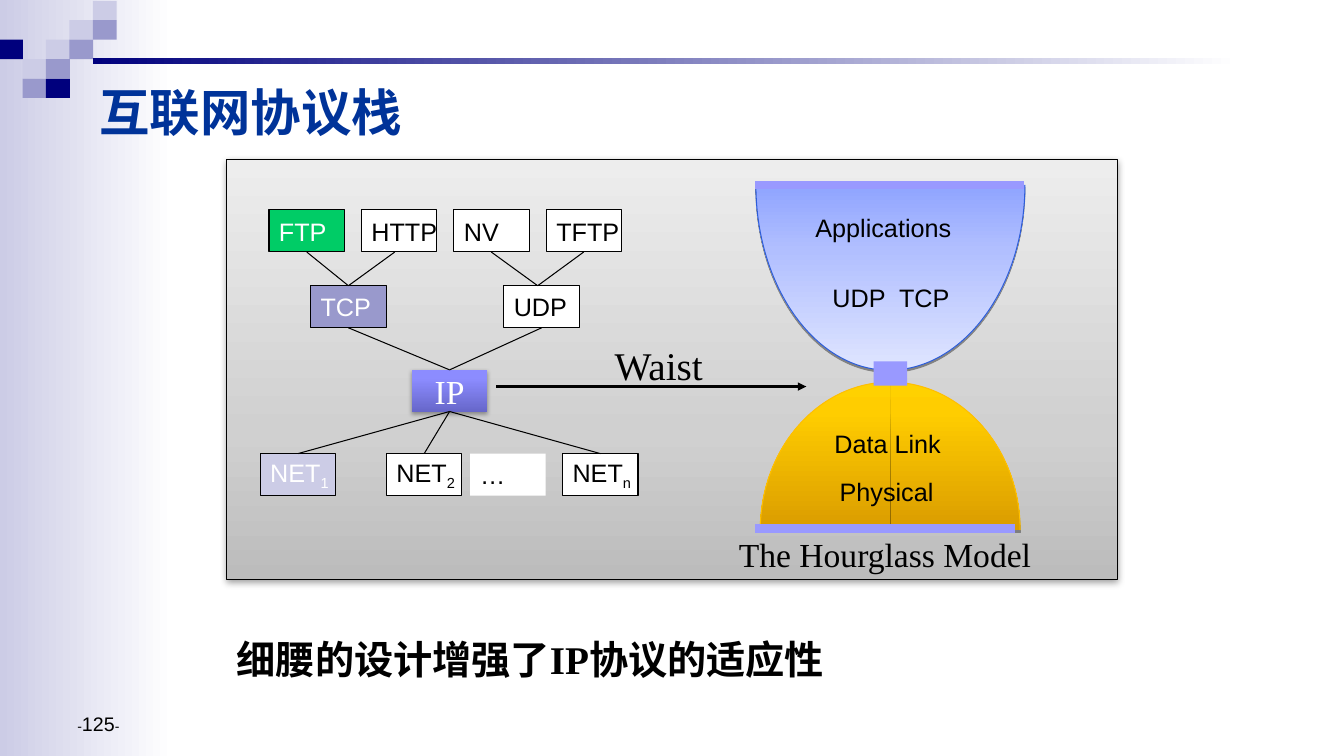
from copy import deepcopy

from lxml import etree
from pptx import Presentation
from pptx.dml.color import RGBColor
from pptx.enum.shapes import MSO_CONNECTOR, MSO_SHAPE
from pptx.enum.text import MSO_ANCHOR, MSO_AUTO_SIZE, PP_ALIGN
from pptx.oxml.ns import qn
from pptx.util import Cm, Pt

RECTANGLE = MSO_SHAPE.RECTANGLE
STRAIGHT = MSO_CONNECTOR.STRAIGHT
LEFT, CENTER = PP_ALIGN.LEFT, PP_ALIGN.CENTER
TOP, MIDDLE, BOTTOM = MSO_ANCHOR.TOP, MSO_ANCHOR.MIDDLE, MSO_ANCHOR.BOTTOM
FIXED, GROW = MSO_AUTO_SIZE.NONE, MSO_AUTO_SIZE.SHAPE_TO_FIT_TEXT

SANS, SERIF = "Arial", "Times New Roman"
BLACK = RGBColor(0x00, 0x00, 0x00)
WHITE = RGBColor(0xFF, 0xFF, 0xFF)
TITLE_BLUE = RGBColor(0x00, 0x33, 0x99)
NAVY = RGBColor(0x00, 0x00, 0x7D)
LAVENDER = RGBColor(0x99, 0x99, 0xCC)
PALE = RGBColor(0xCC, 0xCC, 0xE6)
VIOLET = RGBColor(0x99, 0x99, 0xFF)
GREEN = RGBColor(0x00, 0xCC, 0x66)
GOLD_EDGE = RGBColor(0xFF, 0xBF, 0x00)
BLUE_EDGE = RGBColor(0x2D, 0x5D, 0xD9)

# Gradient stops: (percent, colour)
SIDE_FADE = [(0, PALE), (100, WHITE)]
RULE_FADE = [(0, NAVY), (100, WHITE)]
PANEL_GREY = [(0, RGBColor(0xBC, 0xBC, 0xBC)), (35, RGBColor(0xD0, 0xD0, 0xD0)),
              (100, RGBColor(0xED, 0xED, 0xED))]
IP_VIOLET = [(0, RGBColor(0x67, 0x67, 0xCA)), (80, RGBColor(0x8C, 0x8C, 0xFF)),
             (100, RGBColor(0x8E, 0x8E, 0xFF))]
GOLD = [(0, RGBColor(0xFF, 0xD1, 0x00)), (20, RGBColor(0xFF, 0xCD, 0x00)),
        (100, RGBColor(0xDA, 0x9C, 0x00))]
SKY = [(0, RGBColor(0xDF, 0xE5, 0xFF)), (65, RGBColor(0xB1, 0xBF, 0xFF)),
       (100, RGBColor(0x8F, 0xA4, 0xFF))]

BOX_W, BOX_H = 1.9, 1.06
UPWARD, DOWNWARD = 90, 270
ARC_PULL = 0.55


def paint_gradient(fill, stops, angle):
    fill.gradient()
    fill.gradient_angle = angle
    stop_list = fill._fill._gradFill.find(qn("a:gsLst"))
    for old in list(stop_list):
        stop_list.remove(old)
    for percent, color in stops:
        stop = etree.SubElement(stop_list, qn("a:gs"), pos=str(percent * 1000))
        etree.SubElement(stop, qn("a:srgbClr"), val=str(color))


def style(shape, fill, edge=None, angle=0, shadow=None):
    """Fill is a colour or a list of stops; shadow is (alpha %, blur pt, distance pt)."""
    if isinstance(fill, list):
        paint_gradient(shape.fill, fill, angle)
    else:
        shape.fill.solid()
        shape.fill.fore_color.rgb = fill
    if edge is None:
        shape.line.fill.background()
    else:
        shape.line.color.rgb = edge
        shape.line.width = Pt(0.75)
    shape.shadow.inherit = False
    if shadow:
        alpha, blur, distance = shadow
        effects = shape._element.spPr.find(qn("a:effectLst"))
        outer = etree.SubElement(effects, qn("a:outerShdw"), blurRad=str(Pt(blur)),
                                 dist=str(Pt(distance)), dir="5400000", rotWithShape="0")
        color = etree.SubElement(outer, qn("a:srgbClr"), val=str(BLACK))
        etree.SubElement(color, qn("a:alpha"), val=str(alpha * 1000))


def add_block(slide, x, y, w, h, fill, **look):
    block = slide.shapes.add_shape(RECTANGLE, Cm(x), Cm(y), Cm(w), Cm(h))
    style(block, fill, **look)
    return block


def write(frame, text, size, font=SANS, color=BLACK, bold=False, align=LEFT,
          anchor=TOP, wrap=False, fit=FIXED, subscript=""):
    frame.auto_size = fit
    frame.word_wrap = wrap
    frame.vertical_anchor = anchor
    paragraph = frame.paragraphs[0]
    paragraph.alignment = align
    paragraph.add_run().text = text
    if subscript:
        lowered = paragraph.add_run()
        lowered.text = subscript
        lowered._r.get_or_add_rPr().set("baseline", "-25000")
    paragraph.font.name = font
    paragraph.font.size = Pt(size)
    paragraph.font.bold = bold
    paragraph.font.color.rgb = color


def add_label(slide, x, y, w, h, text, size, fit=GROW, **look):
    label = slide.shapes.add_textbox(Cm(x), Cm(y), Cm(w), Cm(h))
    write(label.text_frame, text, size, fit=fit, **look)


def add_protocol(slide, x, y, text, fill=WHITE, color=BLACK, edge=BLACK, subscript=""):
    box = add_block(slide, x, y, BOX_W, BOX_H, fill, edge=edge)
    write(box.text_frame, text, 18, color=color, anchor=MIDDLE, subscript=subscript)


def add_line(slide, x1, y1, x2, y2, color, width):
    line = slide.shapes.add_connector(STRAIGHT, Cm(x1), Cm(y1), Cm(x2), Cm(y2))
    line.line.color.rgb = color
    line.line.width = Pt(width)
    etree.SubElement(line._element.spPr, qn("a:effectLst"))
    return line


def add_quarter(slide, center_x, base_y, radius_x, radius_y, fill, edge, angle, shadow):
    """Quarter ellipse whose curved side alone is outlined."""
    builder = slide.shapes.build_freeform(Cm(center_x + radius_x), Cm(base_y))
    builder.add_line_segments([(Cm(center_x), Cm(base_y + radius_y)),
                               (Cm(center_x), Cm(base_y))], close=True)
    quarter = builder.convert_to_shape()
    style(quarter, fill, edge=edge, angle=angle, shadow=shadow)

    # Bend the first side into an arc
    area = quarter._element.spPr.find(".//" + qn("a:path"))
    start, tip = [(int(pt.get("x")), int(pt.get("y")))
                  for pt in list(area.iter(qn("a:pt")))[:2]]
    arc = etree.Element(qn("a:cubicBezTo"))
    for x, y in [(start[0], start[1] + ARC_PULL * (tip[1] - start[1])),
                 (tip[0] + ARC_PULL * (start[0] - tip[0]), tip[1]), tip]:
        etree.SubElement(arc, qn("a:pt"), x=str(round(x)), y=str(round(y)))
    area.replace(area[1], arc)

    # Outline the arc only
    curve = deepcopy(area)
    for straight_side in list(curve)[2:]:
        curve.remove(straight_side)
    curve.set("fill", "none")
    area.set("stroke", "0")
    area.addprevious(curve)


def add_decoration(slide):
    add_block(slide, 0, 0, 4.39, 19.05, SIDE_FADE)
    squares = [(1, 4, LAVENDER), (3, 1, PALE), (4, 0, PALE), (2, 4, NAVY), (4, 1, LAVENDER),
               (2, 2, PALE), (0, 2, NAVY), (3, 2, LAVENDER), (1, 3, PALE), (2, 3, LAVENDER)]
    for column, row, color in squares:
        add_block(slide, 0.59 * column - 0.02, 0.02 + 0.49 * row, 0.6, 0.49, color)
    add_block(slide, 2.34, 1.47, 28.88, 0.15, RULE_FADE)


def add_hourglass(slide):
    for radius in (3.28, -3.27):
        add_quarter(slide, 22.43, 13.36, radius, -3.73, GOLD, GOLD_EDGE, DOWNWARD, (35, 0, 1.8))
    for radius in (3.43, -3.35):
        add_quarter(slide, 22.4, 4.66, radius, 4.67, SKY, BLUE_EDGE, UPWARD, (38, 0, 1.6))
    add_line(slide, 19.03, 4.66, 25.8, 4.66, VIOLET, 6)
    add_line(slide, 19.03, 13.32, 25.59, 13.32, VIOLET, 6)
    add_block(slide, 22.02, 9.11, 0.84, 0.61, VIOLET)
    for text, x, y, w in [("UDP", 20.73, 6.99, 1.85), ("TCP", 22.41, 6.99, 1.78),
                          ("Data Link", 20.78, 10.67, 3.23), ("Physical", 20.91, 11.89, 2.9),
                          ("Applications", 20.3, 5.22, 3.96)]:
        add_label(slide, x, y, w, 1.02, text, 18)
    add_label(slide, 18.37, 13.34, 7.95, 1.27, "The Hourglass Model", 24, font=SERIF)


def add_protocol_tree(slide):
    # Boxes
    for column, (name, fill, color) in enumerate([("FTP", GREEN, WHITE), ("HTTP", WHITE, BLACK),
                                                  ("NV", WHITE, BLACK), ("TFTP", WHITE, BLACK)]):
        add_protocol(slide, 6.78 + 2.33 * column, 5.29, name, fill, color)
    add_protocol(slide, 7.83, 7.2, "TCP", LAVENDER, WHITE)
    add_protocol(slide, 12.7, 7.2, "UDP")
    ip = add_block(slide, 10.38, 9.32, BOX_W, BOX_H, IP_VIOLET, angle=UPWARD,
                   shadow=(35, 3.1, 1.8))
    write(ip.text_frame, "IP", 24, font=SERIF, color=WHITE, align=CENTER, anchor=MIDDLE)
    add_protocol(slide, 6.56, 11.43, "NET", PALE, WHITE, subscript="1")
    add_protocol(slide, 9.74, 11.43, "NET", subscript="2")
    add_protocol(slide, 14.18, 11.43, "NET", subscript="n")
    add_protocol(slide, 11.85, 11.43, "…", edge=None)

    # Links from the bottom of one layer to the top of the next
    for top, bottom, spans in [
            (6.35, 7.2, [(7.73, 8.78), (9.95, 8.78), (12.38, 13.55), (14.71, 13.55)]),
            (8.26, 9.32, [(8.78, 11.33), (13.65, 11.33)]),
            (10.37, 11.43, [(11.33, 15.13), (11.33, 7.51), (11.33, 10.69)])]:
        for upper_x, lower_x in spans:
            add_line(slide, upper_x, top, lower_x, bottom, BLACK, 0.75)


def add_page_number(slide):
    footer = slide.shapes.add_textbox(Cm(1.7), Cm(17.35), Cm(7.9), Cm(1.32)).text_frame
    footer.word_wrap = True
    footer.vertical_anchor = BOTTOM
    paragraph = footer.paragraphs[0]
    for text, size in [("-", 10), ("125", 14), ("-", 10)]:
        run = paragraph.add_run()
        run.text = text
        run.font.size = Pt(size)
    paragraph.font.name = SANS
    paragraph.font.color.rgb = BLACK


def main():
    prs = Presentation()
    prs.slide_width, prs.slide_height = Cm(33.87), Cm(19.05)
    slide = prs.slides.add_slide(prs.slide_layouts[6])

    # Frame and title
    add_decoration(slide)
    add_label(slide, 2.26, 1.9, 23.19, 1.8, "互联网协议栈", 36, fit=FIXED, font=SERIF,
              color=TITLE_BLUE, bold=True, anchor=MIDDLE, wrap=True)

    # Diagram
    add_block(slide, 5.72, 4.02, 22.44, 10.59, PANEL_GREY, edge=BLACK, angle=UPWARD,
              shadow=(38, 5, 1.6))
    arrow = add_line(slide, 12.5, 9.74, 20.32, 9.74, BLACK, 2)
    etree.SubElement(arrow.line._get_or_add_ln(), qn("a:tailEnd"), type="triangle")
    add_hourglass(slide)
    add_label(slide, 15.24, 8.47, 4.45, 1.45, "Waist", 28, font=SERIF, wrap=True)
    add_protocol_tree(slide)

    # Conclusion and page number
    add_label(slide, 5.72, 15.88, 21.82, 1.45, "细腰的设计增强了IP协议的适应性", 28,
              font=SERIF, bold=True, wrap=True)
    add_page_number(slide)

    prs.save("out.pptx")


if __name__ == "__main__":
    main()
